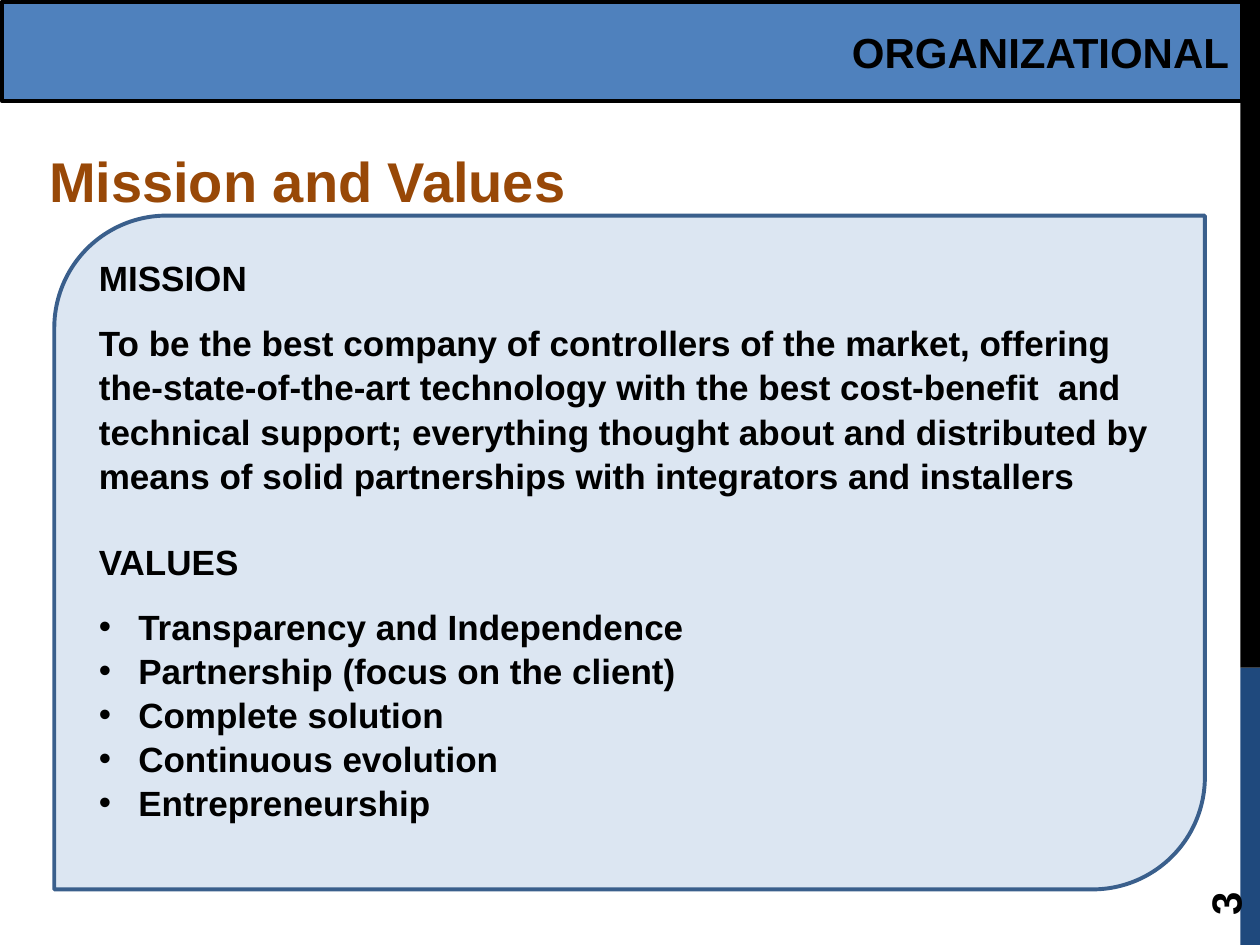
import pptx
import pptx.util
import pptx.dml.color
import pptx.enum.shapes
import pptx.enum.text
import lxml.etree

Pt = pptx.util.Pt
Shapes = pptx.enum.shapes.MSO_SHAPE
Align = pptx.enum.text.PP_ALIGN
Anchor = pptx.enum.text.MSO_ANCHOR
BULLET_INDENT = 22.5


def rgb(value):
    return pptx.dml.color.RGBColor.from_string(value)


def set_bullet(paragraph, bullet):
    props = paragraph._p.get_or_add_pPr()
    indent = Pt(BULLET_INDENT) if bullet else 0
    props.set("marL", str(indent))
    props.set("indent", str(-indent))
    tag = pptx.oxml.ns.qn("a:buChar" if bullet else "a:buNone")
    mark = lxml.etree.SubElement(props, tag)
    if bullet:
        mark.set("char", "•")


def write(paragraph, text, size=24, color="000000", align=Align.LEFT,
          before=0, spacing=1.0, bullet=False):
    set_bullet(paragraph, bullet)
    paragraph.text = text
    paragraph.alignment = align
    paragraph.space_before = Pt(before)
    paragraph.line_spacing = spacing
    font = paragraph.font
    font.name, font.size, font.bold = "Arial", Pt(size), True
    font.color.rgb = rgb(color)


class SlideBuilder:
    def __init__(self, deck):
        self.slide = deck.slides.add_slide(deck.slide_layouts[1])

    def frame(self, shape, insets, anchor):
        frame = shape.text_frame
        frame.word_wrap = True
        frame.auto_size = pptx.enum.text.MSO_AUTO_SIZE.NONE
        frame.vertical_anchor = anchor
        (frame.margin_left, frame.margin_top,
         frame.margin_right, frame.margin_bottom) = map(Pt, insets)
        return frame

    def block(self, box, fill, line=None, kind=Shapes.RECTANGLE):
        block = self.slide.shapes.add_shape(kind, *map(Pt, box))
        block.shadow.inherit = False
        block.fill.solid()
        block.fill.fore_color.rgb = rgb(fill)
        if line:
            block.line.color.rgb = rgb(line)
            block.line.width = Pt(2.25)
        else:
            block.line.fill.background()
        return block

    def banner(self, box, text):
        banner = self.block(box, "4F81BD", "000000")
        frame = self.frame(banner, (7.2, 3.6, 7.2, 3.6), Anchor.MIDDLE)
        write(frame.paragraphs[0], text, align=Align.RIGHT)

    def place(self, placeholder, box):
        (placeholder.left, placeholder.top,
         placeholder.width, placeholder.height) = map(Pt, box)
        self.slide.shapes._spTree.append(placeholder._element)

    def title(self, box, text):
        title = self.slide.shapes.title
        self.place(title, box)
        frame = self.frame(title, (15, 7, 7, 0), Anchor.TOP)
        write(frame.paragraphs[0], text, size=32, color="984807")

    def body(self, box, entries):
        body = self.slide.placeholders[1]
        self.place(body, box)
        frame = self.frame(body, (0, 0, 0, 0), Anchor.TOP)
        for index, (text, style) in enumerate(entries):
            paragraph = frame.add_paragraph() if index else frame.paragraphs[0]
            write(paragraph, text, size=20, spacing=1.05, **style)

    def page_number(self, box, text):
        number = self.slide.shapes.add_textbox(*map(Pt, box))
        number.rotation = 270
        frame = self.frame(number, (7.2, 0, 7.2, 0), Anchor.MIDDLE)
        write(frame.paragraphs[0], text)


def main():
    deck = pptx.Presentation()
    deck.slide_width, deck.slide_height = Pt(720), Pt(540)
    page = SlideBuilder(deck)

    page.block((708.75, 381.5, 11.25, 158.5), "1F497D")
    page.block((708.75, 0, 11.25, 381.5), "000000")
    page.page_number((648, 463.75, 103.75, 28.75), "3")
    page.banner((1, 1, 708.5, 56.75), "ORGANIZATIONAL")
    page.block((31, 123.25, 657.5, 385), "DCE6F2", "3A5F8C",
               Shapes.ROUND_2_DIAG_RECTANGLE)

    mission = ("To be the best company of controllers of the market, offering "
               "the-state-of-the-art technology with the best cost-benefit  and "
               "technical support; everything thought about and distributed by "
               "means of solid partnerships with integrators and installers")
    values = ["Transparency and Independence", "Partnership (focus on the client)",
              "Complete solution", "Continuous evolution", "Entrepreneurship"]
    entries = [("MISSION", {}), (mission, {"before": 12}), ("VALUES", {"before": 24})]
    entries += [(value, {"bullet": True, "before": 0 if index else 12})
                for index, value in enumerate(values)]
    page.body((56.5, 145.5, 606, 340), entries)
    page.title((13, 77, 657.5, 46), "Mission and Values")

    deck.save("out.pptx")


if __name__ == "__main__":
    main()
